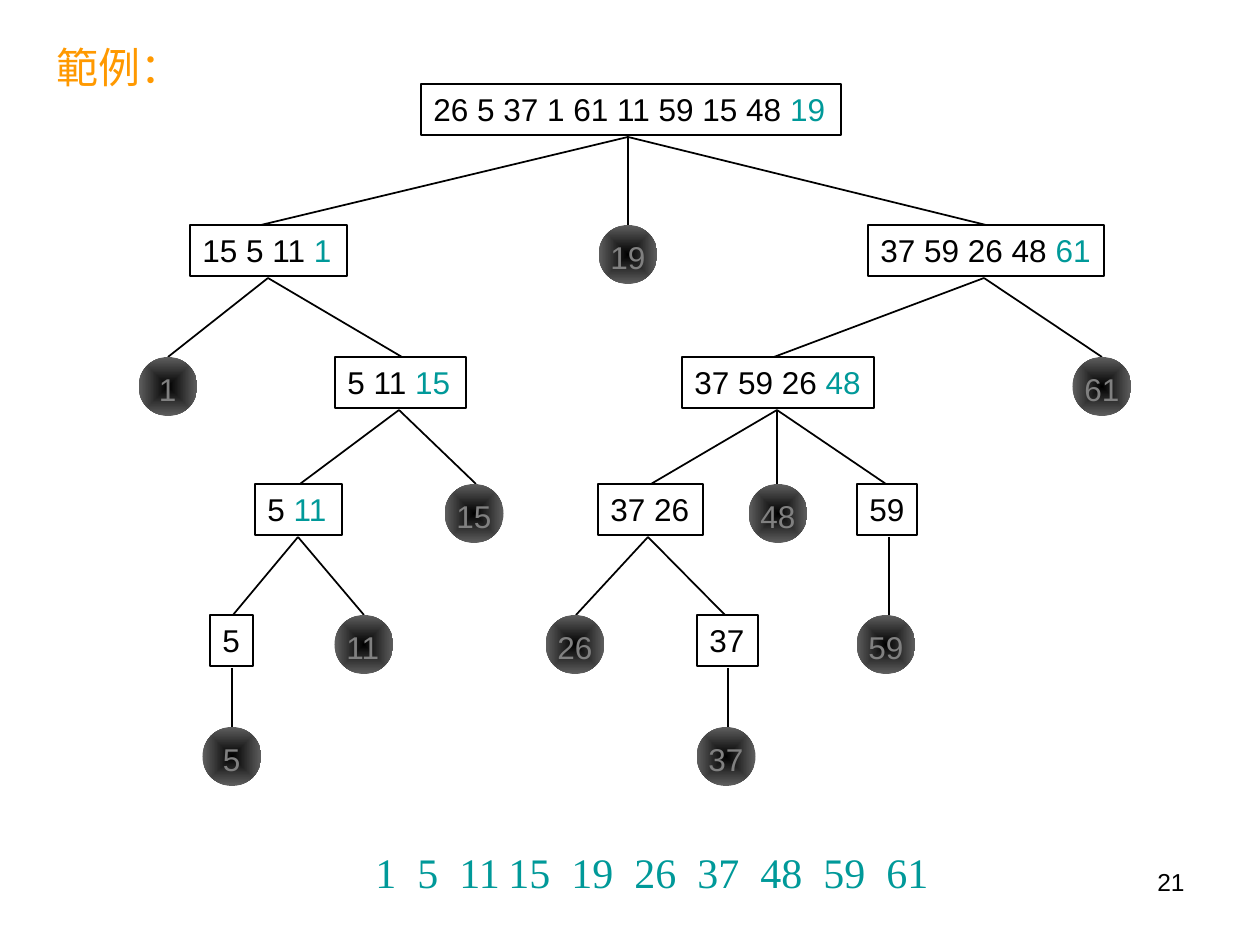
import pptx
import pptx.util
import pptx.dml.color
import pptx.enum.shapes
import pptx.enum.text
import pptx.oxml
from pptx.oxml.ns import nsdecls, qn

PX = 914400 / 126
WIDTH, HEIGHT = 1260, 945
BLACK, TEAL, ORANGE, GREY, DARK = "000000", "009999", "FF9900", "808080", "5F5F5F"

LEVEL_TOPS = [84, 225, 357, 484, 615, 727]
BOX_H, CIRCLE, LABEL_W = 51, 59, 60
LABEL_DROP = 7    # label top below circle top
FORK_DROP = 53    # branch start below box top

# level, left, width, unsorted values, pivot
BOXES = [
    (0, 421, 420, "26 5 37 1 61 11 59 15 48 ", "19"),
    (1, 190, 157, "15 5 11 ", "1"),
    (1, 868, 236, "37 59 26 48 ", "61"),
    (2, 335, 131, "5 11 ", "15"),
    (2, 682, 192, "37 59 26 ", "48"),
    (3, 255, 87, "5 ", "11"),
    (3, 598, 105, "37 26", ""),
    (3, 857, 60, "59", ""),
    (4, 210, 43, "5", ""),
    (4, 697, 61, "37", ""),
]

# level, centre x, sorted value
CIRCLES = [
    (1, 628, "19"), (2, 168, "1"), (2, 1102, "61"), (3, 474, "15"),
    (3, 778, "48"), (4, 364, "11"), (4, 575, "26"), (4, 886, "59"),
    (5, 232, "5"), (5, 726, "37"),
]

# level, x of the fork, x of each branch end one level down
FORKS = [
    (0, 628, [261, 628, 986]),
    (1, 268, [168, 402]),
    (1, 984, [774, 1102]),
    (2, 399, [300, 476]),
    (2, 777, [651, 777, 886]),
    (3, 298, [233, 364]),
    (3, 648, [576, 725]),
    (3, 889, [889]),
    (4, 232, [232]),
    (4, 728, [728]),
]

RESULT = ["1", "5", "11", "15", "19", "26", "37", "48", "59", "61"]
RESULT_TABS = [24, 48] + [76 + 36 * i for i in range(7)]  # points


def px(n):
    return round(n * PX)


def rgb(value):
    return pptx.dml.color.RGBColor.from_string(value)


def write(s, runs, size=18, font="Arial", wrap=False, align="LEFT", tabs=()):
    """Fill a shape with one paragraph of (text, colour) runs."""
    tf = s.text_frame
    frame = {
        "word_wrap": wrap,
        "vertical_anchor": pptx.enum.text.MSO_ANCHOR.TOP,
        "margin_left": pptx.util.Inches(0.1),
        "margin_right": pptx.util.Inches(0.1),
        "margin_top": pptx.util.Inches(0.05),
        "margin_bottom": pptx.util.Inches(0.05),
    }
    for name, value in frame.items():
        setattr(tf, name, value)
    p = tf.paragraphs[0]
    p.alignment = getattr(pptx.enum.text.PP_ALIGN, align)
    if tabs:
        stops = "".join(f'<a:tab pos="{pptx.util.Pt(t)}" algn="l"/>' for t in tabs)
        p._p.get_or_add_pPr().append(
            pptx.oxml.parse_xml(f'<a:tabLst {nsdecls("a")}>{stops}</a:tabLst>'))
    for text, color in runs:
        if not text:
            continue
        r = p.add_run()
        r.text = text
        for name, value in {"size": pptx.util.Pt(size), "name": font}.items():
            setattr(r.font, name, value)
        r.font.color.rgb = rgb(color)
        r._r.get_or_add_rPr().append(
            pptx.oxml.parse_xml(f'<a:ea {nsdecls("a")} typeface="{font}"/>'))


def add_text(shapes, x, y, w, h, text, color, **style):
    s = shapes.add_textbox(px(x), px(y), px(w), px(h))
    write(s, [(text, color)], **style)


def add_box(shapes, level, x, w, values, pivot):
    s = shapes.add_shape(pptx.enum.shapes.MSO_SHAPE.RECTANGLE,
                         px(x), px(LEVEL_TOPS[level]), px(w), px(BOX_H))
    s.shadow.inherit = False
    s.fill.background()
    s.line.color.rgb = rgb(BLACK)
    s.line.width = pptx.util.Pt(1)
    write(s, [(values, BLACK), (pivot, TEAL)])


def add_circle(shapes, level, cx, value):
    top = LEVEL_TOPS[level]
    s = shapes.add_shape(pptx.enum.shapes.MSO_SHAPE.OVAL,
                         px(cx - CIRCLE / 2), px(top), px(CIRCLE), px(CIRCLE))
    s.shadow.inherit = False
    s.line.fill.background()
    s.fill.gradient()
    for stop, color, position in zip(s.fill.gradient_stops, (BLACK, DARK), (0, 1)):
        stop.color.rgb = rgb(color)
        stop.position = position
    lin = s._element.spPr.find(qn("a:gradFill")).find(qn("a:lin"))
    lin.getparent().replace(lin, pptx.oxml.parse_xml(
        f'<a:path {nsdecls("a")} path="rect">'
        '<a:fillToRect l="50000" t="50000" r="50000" b="50000"/></a:path>'))
    w = LABEL_W if len(value) > 1 else 43
    add_text(shapes, cx - w / 2, top + LABEL_DROP, w, BOX_H, value, GREY)


def add_branch(shapes, level, x, end):
    s = shapes.add_connector(pptx.enum.shapes.MSO_CONNECTOR.STRAIGHT,
                             px(x), px(LEVEL_TOPS[level] + FORK_DROP),
                             px(end), px(LEVEL_TOPS[level + 1]))
    s.line.color.rgb = rgb(BLACK)
    s.line.width = pptx.util.Pt(1)
    s._element.spPr.append(pptx.oxml.parse_xml(f'<a:effectLst {nsdecls("a")}/>'))


def main():
    prs = pptx.Presentation()
    prs.slide_width, prs.slide_height = px(WIDTH), px(HEIGHT)
    shapes = prs.slides.add_slide(prs.slide_layouts[6]).shapes

    add_text(shapes, 44, 35, 151, 63, "範例：", ORANGE,
             size=24, font="Noto Sans CJK JP")
    for level, x, ends in FORKS:
        for end in ends:
            add_branch(shapes, level, x, end)
    for box in BOXES:
        add_box(shapes, *box)
    for circle in CIRCLES:
        add_circle(shapes, *circle)
    add_text(shapes, 363, 840, 582, 63, "\t".join(RESULT), TEAL,
             size=24, font="Times New Roman", wrap=True, tabs=RESULT_TABS)
    add_text(shapes, 903, 861, 294, 65, "21", BLACK,
             size=14, wrap=True, align="RIGHT")
    prs.save("out.pptx")


if __name__ == "__main__":
    main()
